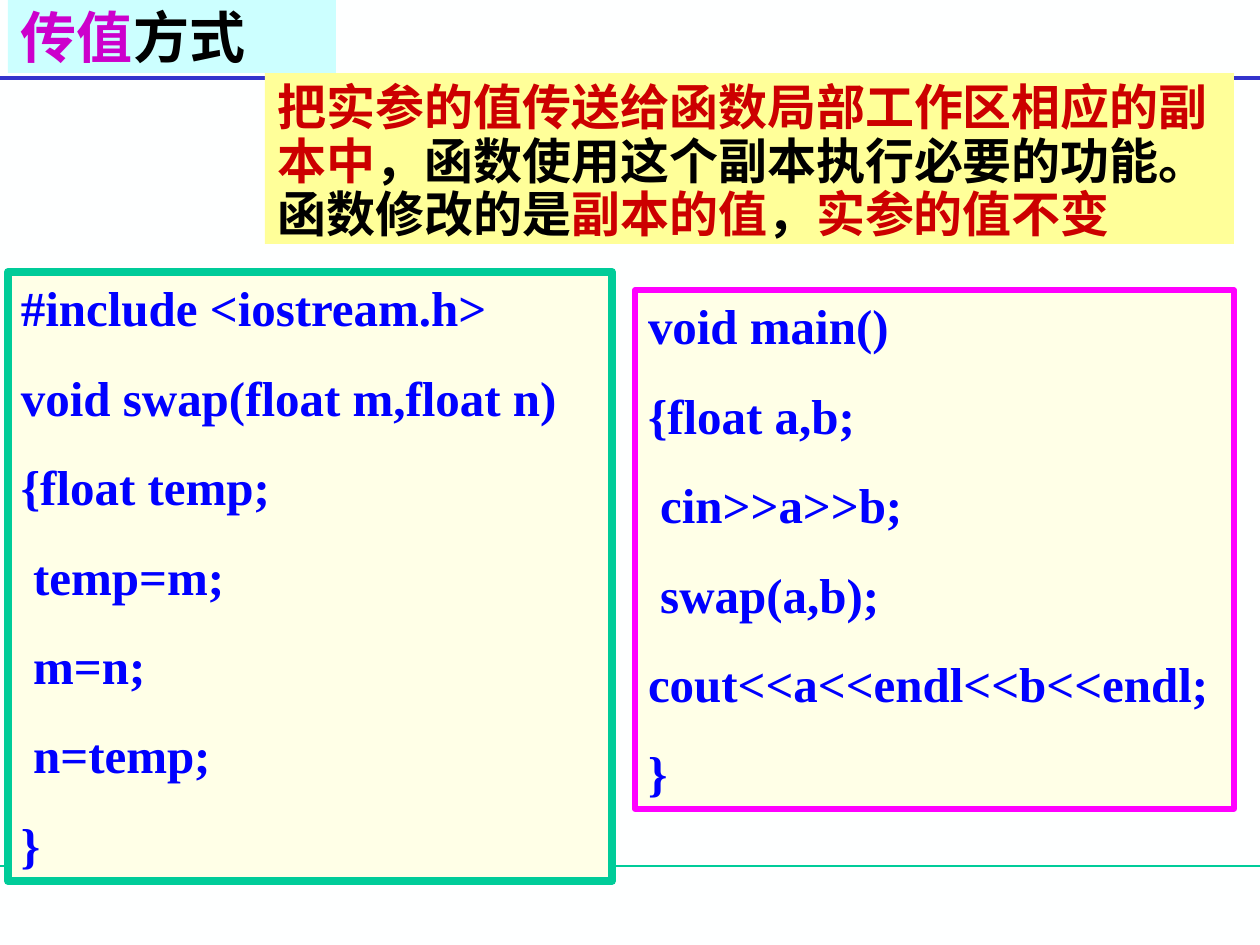
from dataclasses import dataclass

from pptx import Presentation
from pptx.dml.color import RGBColor
from pptx.enum.shapes import MSO_CONNECTOR, MSO_SHAPE
from pptx.enum.text import MSO_ANCHOR, MSO_AUTO_SIZE, PP_ALIGN
from pptx.oxml.ns import qn
from pptx.util import Emu, Pt

EMU_PER_PX = 914400 / 126


def px(length):
    """Turn a length in px into EMU."""
    return Emu(round(length * EMU_PER_PX))


def set_values(target, values):
    """Set each attribute of the target from a dict."""
    for name, value in values.items():
        setattr(target, name, value)


@dataclass(frozen=True)
class Theme:
    """Colours, fonts and type sizes of the slide."""

    background: str = "FEFFFF"
    title_fill: str = "CCFFFF"
    note_fill: str = "FFFF99"
    code_fill: str = "FFFFE7"
    green: str = "00CC99"
    blue: str = "3333CC"
    magenta: str = "FF00FF"
    purple: str = "CC00CC"
    red: str = "CC0000"
    black: str = "000000"
    code: str = "0000FF"
    chinese_font: str = "Noto Sans CJK SC"
    code_font: str = "Times New Roman"
    title_size: float = 32
    body_size: float = 28
    title_leading: float = 34.6
    note_leading: float = 30.6
    code_leading: float = 33.6
    code_gap: float = 17.5


class SlideBuilder:
    """Draws styled elements on the current slide."""

    def __init__(self, slide, theme):
        """Keep the slide and theme and paint the background."""
        self.slide = slide
        self.theme = theme
        self.paint(slide.background.fill, theme.background)

    def paint(self, fill, color):
        """Give a fill one solid colour."""
        fill.solid()
        fill.fore_color.rgb = RGBColor.from_string(color)

    def rule(self, y, color, width):
        """Draw a line across the whole slide."""
        line = self.slide.shapes.add_connector(
            MSO_CONNECTOR.STRAIGHT, 0, px(y), px(1260), px(y))
        line.line.color.rgb = RGBColor.from_string(color)
        line.line.width = Pt(width)
        properties = line._element.spPr
        properties.append(properties.makeelement(qn("a:effectLst"), {}))

    def fill_text(self, shape, paragraphs, font, size, leading, gap=0, top=6):
        """Fill a shape with paragraphs of (text, colour) runs."""
        frame = shape.text_frame
        set_values(frame, {
            "word_wrap": True, "auto_size": MSO_AUTO_SIZE.NONE,
            "vertical_anchor": MSO_ANCHOR.TOP,
            "margin_left": px(13), "margin_right": px(13),
            "margin_top": px(top), "margin_bottom": px(6)})
        for index, runs in enumerate(paragraphs):
            paragraph = frame.add_paragraph() if index else frame.paragraphs[0]
            set_values(paragraph, {
                "alignment": PP_ALIGN.LEFT, "line_spacing": Pt(leading),
                "space_before": Pt(gap if index else 0)})
            for text, color in runs:
                run = paragraph.add_run()
                run.text = text
                set_values(run.font, {"name": font, "size": Pt(size), "bold": True})
                run.font.color.rgb = RGBColor.from_string(color)
                properties = run._r.get_or_add_rPr()
                properties.append(
                    properties.makeelement(qn("a:ea"), {"typeface": font}))

    def title(self, bounds, runs):
        """Place and format the title placeholder."""
        shape = self.slide.shapes.title
        set_values(shape, dict(zip(("left", "top", "width", "height"), map(px, bounds))))
        self.paint(shape.fill, self.theme.title_fill)
        self.fill_text(shape, [runs], self.theme.chinese_font, self.theme.title_size,
                       self.theme.title_leading, top=9)

    def panel(self, bounds, fill):
        """Add a plain filled rectangle."""
        shape = self.slide.shapes.add_shape(MSO_SHAPE.RECTANGLE, *map(px, bounds))
        shape.shadow.inherit = False
        self.paint(shape.fill, fill)
        shape.line.fill.background()
        return shape

    def note(self, bounds, runs):
        """Add the explanation panel."""
        shape = self.panel(bounds, self.theme.note_fill)
        self.fill_text(shape, [runs], self.theme.chinese_font, self.theme.body_size,
                       self.theme.note_leading, top=9)

    def code(self, bounds, border, width, lines):
        """Add a bordered code panel."""
        shape = self.panel(bounds, self.theme.code_fill)
        self.paint(shape.line.fill, border)
        shape.line.width = Pt(width)
        self.fill_text(shape, [[(line, self.theme.code)] for line in lines],
                       self.theme.code_font, self.theme.body_size,
                       self.theme.code_leading, self.theme.code_gap)


def main():
    """Build and save the slide."""
    presentation = Presentation()
    set_values(presentation, {"slide_width": px(1260), "slide_height": px(945)})
    theme = Theme()
    slide = presentation.slides.add_slide(presentation.slide_layouts[5])
    builder = SlideBuilder(slide, theme)

    builder.rule(866, theme.green, 0.75)
    builder.rule(78, theme.blue, 2.25)
    builder.title((8, 0, 328, 73), [("传值", theme.purple), ("方式", theme.black)])
    builder.code((635, 290, 599, 519), theme.magenta, 3, [
        "void main()", "{float a,b;", " cin>>a>>b;", " swap(a,b);",
        "cout<<a<<endl<<b<<endl;", "}"])
    builder.code((8, 272, 604, 609), theme.green, 4.5, [
        "#include <iostream.h>", "void swap(float m,float n)", "{float temp;",
        " temp=m;", " m=n;", " n=temp;", "}"])
    builder.note((265, 73, 969, 171), [
        ("把实参的值传送给函数局部工作区相应的副本中", theme.red),
        ("，函数使用这个副本执行必要的功能。函数修改的是", theme.black),
        ("副本的值", theme.red), ("，", theme.black),
        ("实参的值不变", theme.red)])
    presentation.save("out.pptx")


if __name__ == "__main__":
    main()
